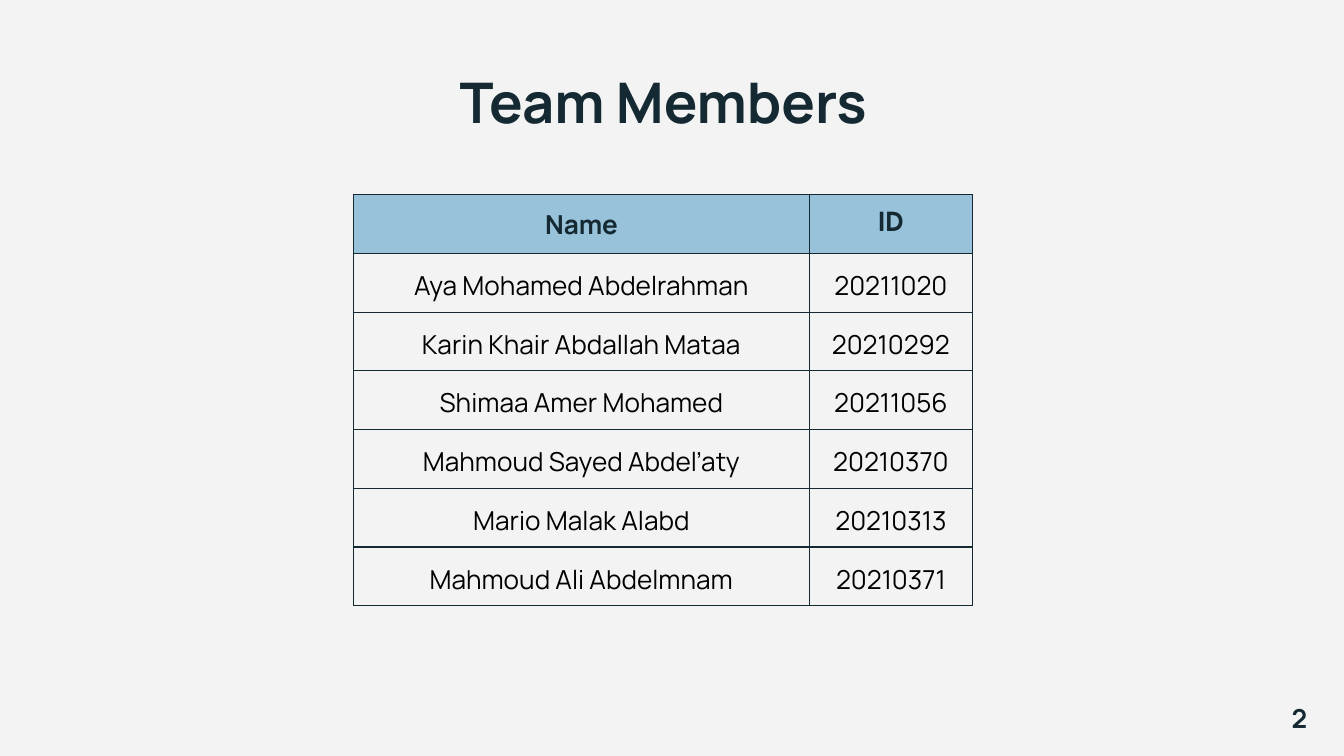
from dataclasses import dataclass

from lxml import etree
from pptx import Presentation
from pptx.dml.color import RGBColor
from pptx.enum.text import MSO_ANCHOR, PP_ALIGN
from pptx.oxml.ns import qn
from pptx.util import Cm, Pt

CENTER = PP_ALIGN.CENTER
TOP, MIDDLE = MSO_ANCHOR.TOP, MSO_ANCHOR.MIDDLE


@dataclass(frozen=True)
class Theme:
    back: str = "F3F3F3"
    ink: str = "152933"
    body: str = "000000"
    head: str = "97C2DA"
    font: str = "Manrope"
    alt: str = "TeX Gyre Adventor"
    title: int = 30
    text: int = 14
    line: float = 0.75


THEME = Theme()
HEADS = [("Name", THEME.font, 0), ("ID", THEME.alt, 16)]
TEAM = [
    ("Aya Mohamed Abdelrahman", "20211020"),
    ("Karin Khair Abdallah Mataa", "20210292"),
    ("Shimaa Amer Mohamed", "20211056"),
    ("Mahmoud Sayed Abdel’aty", "20210370"),
    ("Mario Malak Alabd", "20210313"),
    ("Mahmoud Ali Abdelmnam", "20210371"),
]


def add_run(para, text, size, color, bold, font=THEME.font):
    para.alignment = CENTER
    run = para.add_run()
    run.text = text
    run.font.name = font
    run.font.size = Pt(size)
    run.font.bold = bold
    run.font.color.rgb = RGBColor.from_string(color)


def add_label(slide, box, text, size, anchor):
    frame = slide.shapes.add_textbox(*map(Cm, box)).text_frame
    frame.word_wrap = True
    frame.vertical_anchor = anchor
    frame.margin_left = frame.margin_right = Cm(0.25)
    frame.margin_top = frame.margin_bottom = Cm(0.25)
    add_run(frame.paragraphs[0], text, size, THEME.ink, True)


def add_edges(cell):
    props = cell._tc.get_or_add_tcPr()
    for spot, tag in enumerate(("a:lnL", "a:lnR", "a:lnT", "a:lnB")):
        edge = etree.Element(qn(tag), w=str(Pt(THEME.line)))
        fill = etree.SubElement(edge, qn("a:solidFill"))
        etree.SubElement(fill, qn("a:srgbClr"), val=THEME.ink)
        props.insert(spot, edge)


def set_cell(cell, pad):
    cell.vertical_anchor = MIDDLE
    cell.margin_left = cell.margin_right = Cm(pad)
    cell.margin_top = cell.margin_bottom = 0
    add_edges(cell)
    return cell.text_frame.paragraphs[0]


def add_grid(slide, left, top, widths, height):
    count = len(TEAM) + 1
    table = slide.shapes.add_table(
        count, len(widths), Cm(left), Cm(top),
        Cm(sum(widths)), Cm(height * count)).table
    table.first_row = table.horz_banding = False
    for col, width in zip(table.columns, widths):
        col.width = Cm(width)
    for row in table.rows:
        row.height = Cm(height)

    # Header row
    for col, (text, font, gap) in enumerate(HEADS):
        cell = table.cell(0, col)
        cell.fill.solid()
        cell.fill.fore_color.rgb = RGBColor.from_string(THEME.head)
        para = set_cell(cell, 0.25)
        para.space_after = Pt(gap)
        add_run(para, text, THEME.text, THEME.ink, True, font)

    # Team rows
    for row, member in enumerate(TEAM, 1):
        for col, text in enumerate(member):
            cell = table.cell(row, col)
            cell.fill.background()
            para = set_cell(cell, 0.18)
            para.line_spacing = 1.15
            para.space_after = Pt(10)
            add_run(para, text, THEME.text, THEME.body, False)


def main():
    deck = Presentation()
    deck.slide_width, deck.slide_height = Cm(25.4), Cm(14.29)
    slide = deck.slides.add_slide(deck.slide_layouts[6])
    slide.background.fill.solid()
    slide.background.fill.fore_color.rgb = RGBColor.from_string(THEME.back)

    # Title, team table, page number
    add_label(slide, (1.83, 1.02, 21.41, 1.6), "Team Members", THEME.title, TOP)
    add_grid(slide, 6.68, 3.68, (8.62, 3.08), 1.11)
    add_label(slide, (22.73, 12.04, 3.66, 3.07), "2", THEME.text, MIDDLE)
    deck.save("out.pptx")


if __name__ == "__main__":
    main()
